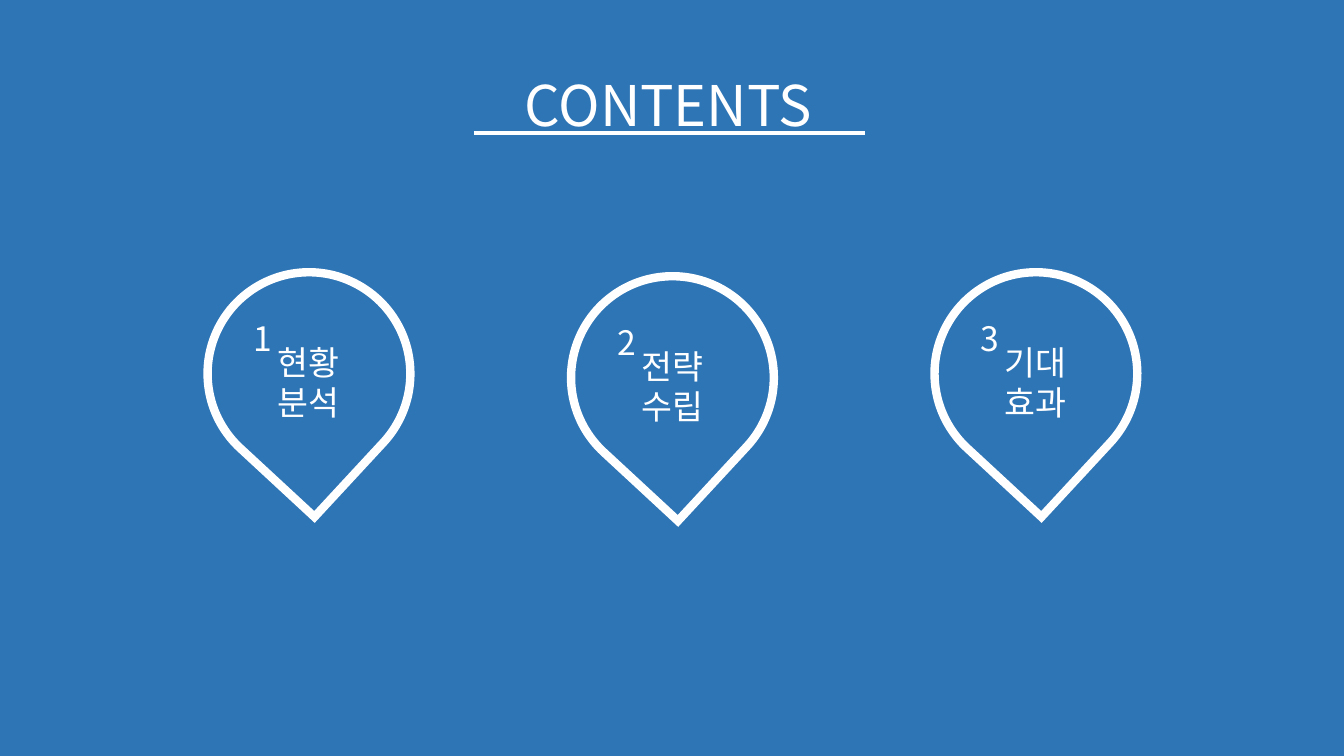
from dataclasses import dataclass

from lxml.etree import SubElement
from pptx import Presentation
from pptx.dml.color import RGBColor
from pptx.enum.shapes import MSO_CONNECTOR, MSO_SHAPE
from pptx.enum.text import MSO_ANCHOR, MSO_AUTO_SIZE, PP_ALIGN
from pptx.oxml.ns import qn
from pptx.shapes.autoshape import Shape
from pptx.slide import Slide
from pptx.util import Cm, Pt

HUES = {"blue": "2E75B6", "white": "FFFFFF"}
FONT = "Noto Sans CJK KR"
LEFT, STEP, SIZE = 5.23, 9.16, 5.11


@dataclass
class Pin:
    digit: str
    words: tuple[str, str]
    top: float


PINS = [
    Pin("1", ("현황", "분석"), 6.86),
    Pin("2", ("전략", "수립"), 6.96),
    Pin("3", ("기대", "효과"), 6.86),
]


def hue(name: str) -> RGBColor:
    return RGBColor.from_string(HUES[name])


def write(shape: Shape, lines: tuple[str, ...], size: int, align: PP_ALIGN) -> None:
    frame = shape.text_frame
    frame.word_wrap = True
    frame.auto_size = MSO_AUTO_SIZE.NONE
    frame.vertical_anchor = MSO_ANCHOR.TOP
    frame.margin_left = frame.margin_right = Cm(0.25)
    frame.margin_top = Cm(0.13) + Pt(size * 0.06)
    frame.margin_bottom = Cm(0.13)
    for i, line in enumerate(lines):
        para = frame.add_paragraph() if i else frame.paragraphs[0]
        para.alignment = align
        para.line_spacing = Pt(size * 1.2)
        para.space_before = Pt(0)
        run = para.add_run()
        run.text = line
        run.font.size = Pt(size)
        run.font.color.rgb = hue("white")
        run.font.name = FONT
        SubElement(run.font._element, qn("a:ea"), typeface=FONT)


def add_text(slide: Slide, left: float, top: float, width: float, height: float,
             lines: tuple[str, ...]) -> None:
    box = slide.shapes.add_textbox(Cm(left), Cm(top), Cm(width), Cm(height))
    write(box, lines, 24, PP_ALIGN.LEFT)


def add_title(slide: Slide) -> None:
    title = slide.shapes.title
    title.left, title.top = Cm(12.19), Cm(1.57)
    title.width, title.height = Cm(9.3), Cm(1.96)
    write(title, ("CONTENTS",), 40, PP_ALIGN.CENTER)
    rule = slide.shapes.add_connector(
        MSO_CONNECTOR.STRAIGHT, Cm(11.94), Cm(3.35), Cm(21.79), Cm(3.35))
    rule.line.color.rgb = hue("white")
    rule.line.width = Pt(3)
    SubElement(rule._element.spPr, qn("a:effectLst"))


def add_pin(slide: Slide, pin: Pin, left: float) -> None:
    drop = slide.shapes.add_shape(
        MSO_SHAPE.TEAR, Cm(left), Cm(pin.top), Cm(SIZE), Cm(SIZE))
    drop.rotation = 132.8
    drop.shadow.inherit = False
    drop.fill.solid()
    drop.fill.fore_color.rgb = hue("blue")
    drop.line.color.rgb = hue("white")
    drop.line.width = Pt(6)
    SubElement(drop.line._get_or_add_ln(), qn("a:miter"), lim="800000")
    add_text(slide, left + 1.52, pin.top + 1.57, 2.67, 2.31, pin.words)
    add_text(slide, left + 0.91, pin.top + 0.97, 1.19, 1.27, (pin.digit,))


def main() -> None:
    deck = Presentation()
    deck.slide_width, deck.slide_height = Cm(33.87), Cm(19.05)
    slide = deck.slides.add_slide(deck.slide_layouts[5])
    slide.background.fill.solid()
    slide.background.fill.fore_color.rgb = hue("blue")
    add_title(slide)
    for i, pin in enumerate(PINS):
        add_pin(slide, pin, LEFT + i * STEP)
    deck.save("out.pptx")


if __name__ == "__main__":
    main()
